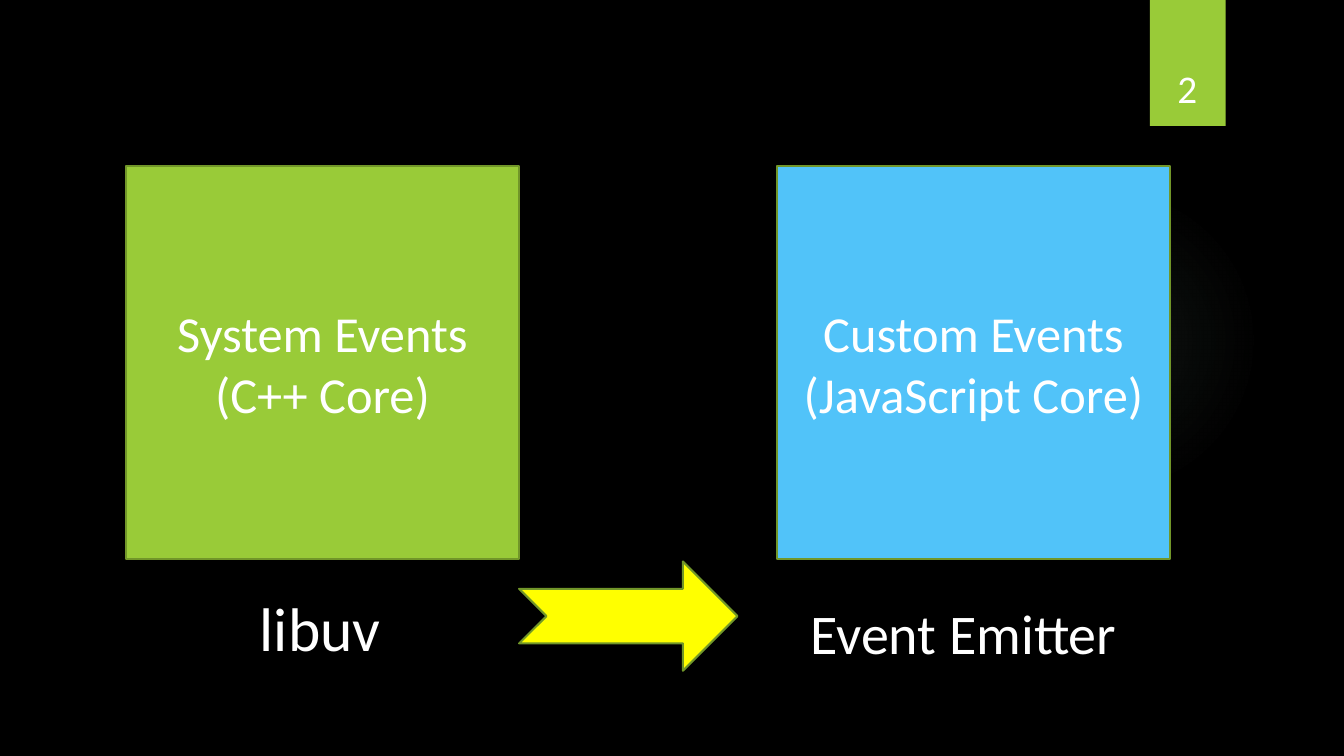
from lxml import etree
from pptx import Presentation
from pptx.dml.color import RGBColor
from pptx.enum.shapes import MSO_SHAPE
from pptx.enum.text import MSO_ANCHOR, MSO_AUTO_SIZE, PP_ALIGN
from pptx.oxml import parse_xml
from pptx.oxml.ns import nsdecls, qn
from pptx.util import Inches, Pt

RECTANGLE = MSO_SHAPE.RECTANGLE
OVAL = MSO_SHAPE.OVAL
NOTCHED_ARROW = MSO_SHAPE.NOTCHED_RIGHT_ARROW
MIDDLE, TOP, BOTTOM = MSO_ANCHOR.MIDDLE, MSO_ANCHOR.TOP, MSO_ANCHOR.BOTTOM
CENTER, LEFT = PP_ALIGN.CENTER, PP_ALIGN.LEFT
FIT_SHAPE = MSO_AUTO_SIZE.SHAPE_TO_FIT_TEXT

BLACK = RGBColor(0x00, 0x00, 0x00)
WHITE = RGBColor(0xFF, 0xFF, 0xFF)
GREEN = RGBColor(0x99, 0xCB, 0x38)
DARK_GREEN = RGBColor(0x71, 0x96, 0x29)
BLUE = RGBColor(0x51, 0xC3, 0xF9)
YELLOW = RGBColor(0xFF, 0xFF, 0x00)
GLOW = RGBColor(0x87, 0xA8, 0x96)

FONT = "Calibri"
WIDTH, HEIGHT = Inches(13.33), Inches(7.5)
COLUMNS, ROWS = 32, 18

# Event boxes, in grid columns and rows
BOX_SIZE = 9.36
BOX_TOP = 3.96
SYSTEM_LEFT, CUSTOM_LEFT = 3, 18.5


def place(left, top, width, height):
    """Turn grid columns and rows into slide lengths."""
    column, row = WIDTH / COLUMNS, HEIGHT / ROWS
    return [round(length) for length in
            (left * column, top * row, width * column, height * row)]


def write_lines(shape, lines, size, align, anchor):
    frame = shape.text_frame
    frame.vertical_anchor = anchor
    for index, line in enumerate(lines):
        paragraph = frame.paragraphs[0] if index == 0 else frame.add_paragraph()
        paragraph.alignment = align
        run = paragraph.add_run()
        run.text = line
        run.font.name = FONT
        run.font.size = Pt(size)
        run.font.color.rgb = WHITE


def add_figure(slide, kind, area, fill, outline=None):
    shape = slide.shapes.add_shape(kind, *place(*area))
    shape.shadow.inherit = False
    shape.fill.solid()
    shape.fill.fore_color.rgb = fill
    if outline is None:
        shape.line.fill.background()
    else:
        shape.line.color.rgb = outline
        shape.line.width = Pt(1.5)
    return shape


def add_glow(slide, area):
    """Add a faint circle that fades out towards its edge."""
    shape = add_figure(slide, OVAL, area, GLOW)
    gradient = parse_xml(f'<a:gradFill {nsdecls("a")} rotWithShape="1"/>')
    stops = etree.SubElement(gradient, qn("a:gsLst"))
    for position, opacity in ((0, 7), (36, 6), (69, 0)):
        stop = etree.SubElement(stops, qn("a:gs"), pos=str(position * 1000))
        color = etree.SubElement(stop, qn("a:srgbClr"), val=str(GLOW))
        etree.SubElement(color, qn("a:alpha"), val=str(opacity * 1000))
    shade = etree.SubElement(gradient, qn("a:path"), path="circle")
    etree.SubElement(shade, qn("a:fillToRect"),
                     {side: "50000" for side in "ltrb"})
    properties = shape.element.spPr
    properties.replace(properties.find(qn("a:solidFill")), gradient)


def add_event_box(slide, left, lines, fill):
    area = (left, BOX_TOP, BOX_SIZE, BOX_SIZE)
    box = add_figure(slide, RECTANGLE, area, fill, DARK_GREEN)
    box.text_frame.word_wrap = True
    write_lines(box, lines, 36, CENTER, MIDDLE)


def add_label(slide, area, text, size):
    label = slide.shapes.add_textbox(*place(*area))
    label.text_frame.word_wrap = False
    label.text_frame.auto_size = FIT_SHAPE
    write_lines(label, [text], size, LEFT, TOP)


def add_page_number(slide, area, number):
    box = slide.shapes.add_textbox(*place(*area))
    box.text_frame.word_wrap = True
    write_lines(box, [number], 28, CENTER, BOTTOM)


def main():
    presentation = Presentation()
    presentation.slide_width, presentation.slide_height = WIDTH, HEIGHT
    slide = presentation.slides.add_slide(presentation.slide_layouts[6])
    slide.background.fill.solid()
    slide.background.fill.fore_color.rgb = BLACK

    # Backdrop and page tab
    add_glow(slide, (22.58, 4.4, 7.4, 7.4))
    add_figure(slide, RECTANGLE, (27.38, 0, 1.8, 3), GREEN)
    add_page_number(slide, (27.17, 0.78, 2.2, 2), "2")

    # Two kinds of events
    add_event_box(slide, SYSTEM_LEFT, ["System Events", "(C++ Core)"], GREEN)
    add_event_box(slide, CUSTOM_LEFT,
                  ["Custom Events", "(JavaScript Core)"], BLUE)

    # Libraries behind them, joined by an arrow
    add_label(slide, (5.95, 13.94, 3.48, 2.02), "libuv", 44)
    add_label(slide, (19.06, 14.12, 8.26, 1.84), "Event Emitter", 40)
    add_figure(slide, NOTCHED_ARROW,
               (SYSTEM_LEFT + BOX_SIZE, 13.37, 5.2, 2.6), YELLOW, DARK_GREEN)

    presentation.save("out.pptx")


if __name__ == "__main__":
    main()
